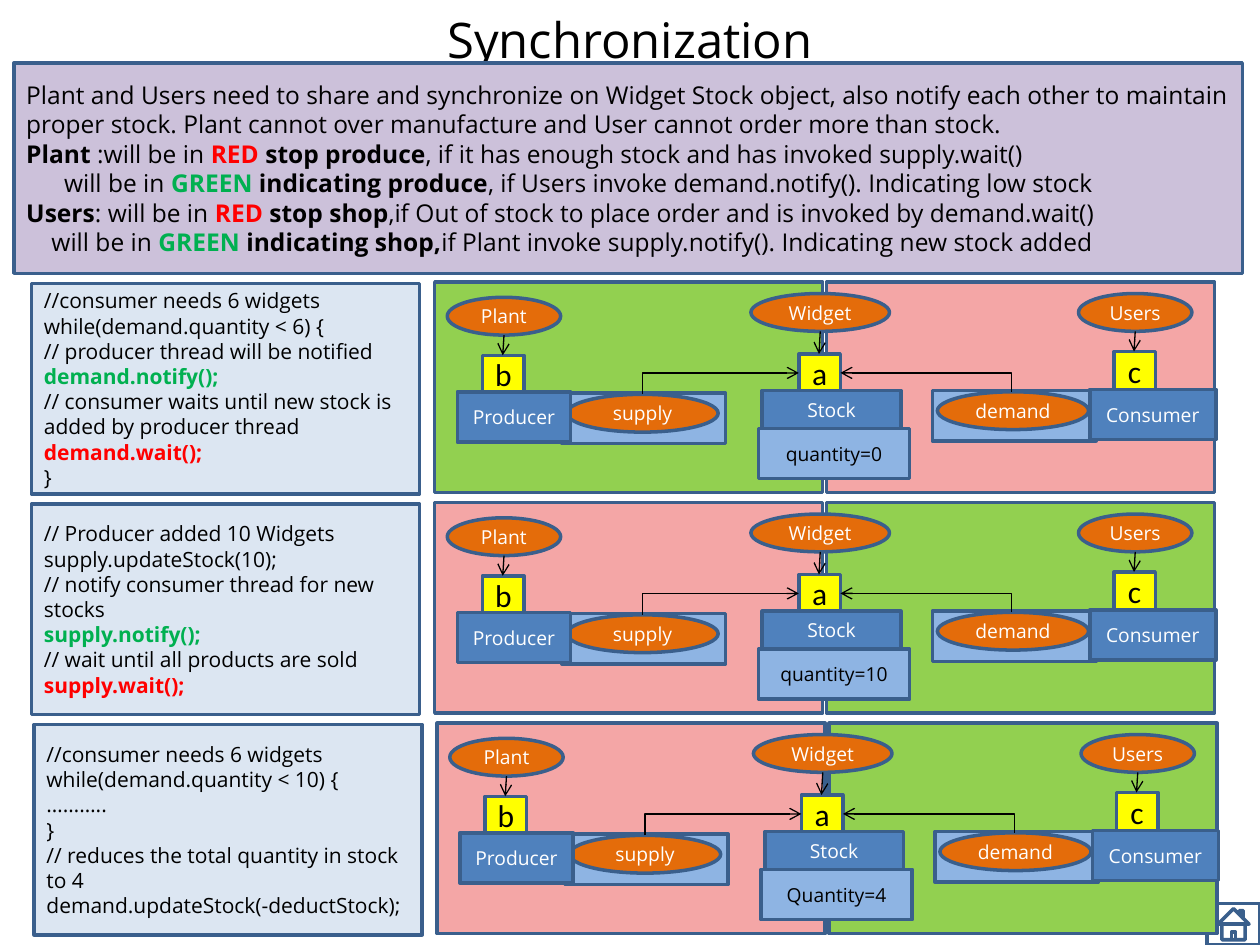
from lxml import etree
from pptx import Presentation
from pptx.dml.color import RGBColor
from pptx.enum.shapes import MSO_CONNECTOR, MSO_SHAPE
from pptx.enum.text import MSO_ANCHOR, PP_ALIGN
from pptx.oxml.ns import qn
from pptx.util import Inches, Pt

RECT, OVAL = MSO_SHAPE.RECTANGLE, MSO_SHAPE.OVAL
HOME = MSO_SHAPE.ACTION_BUTTON_HOME
STRAIGHT, ELBOW = MSO_CONNECTOR.STRAIGHT, MSO_CONNECTOR.ELBOW
LEFT, CENTER, MIDDLE = PP_ALIGN.LEFT, PP_ALIGN.CENTER, MSO_ANCHOR.MIDDLE
SANS, SERIF = "Open Sans", "Calibri"
EDGE, BLACK, WHITE = "3A5F8C", "000000", "FFFFFF"
RED, GREEN = "FF0000", "00B050"
STOP, GO = "F4A6A6", "92D050"
ORANGE, YELLOW, BLUE, PALE = "E46C0A", "FFFF00", "4F81BD", "8EB4E3"
LILAC, MIST = "CCC1DA", "DCE6F2"
STOP_RUN, GO_RUN = ("RED ", RED, True), ("GREEN ", GREEN, True)

# Each paragraph is (indent, runs); each run is (text, colour, bold).
RULES = [
    (0, [("Plant and Users need to share and synchronize on Widget Stock object, "
          "also notify each other to maintain proper stock. Plant cannot over "
          "manufacture and User cannot order more than stock.", BLACK, False)]),
    (0, [("Plant", BLACK, True), (" :will be in ", BLACK, False), STOP_RUN,
         ("stop produce", BLACK, True),
         (", if it has enough stock and has invoked supply.wait()", BLACK, False)]),
    (0.3, [("will be in ", BLACK, False), GO_RUN,
           ("indicating produce", BLACK, True),
           (", if Users invoke demand.notify(). Indicating low stock", BLACK, False)]),
    (0, [("Users", BLACK, True), (": will be in ", BLACK, False), STOP_RUN,
         ("stop shop", BLACK, True),
         (",if Out of stock to place order and is invoked by demand.wait()",
          BLACK, False)]),
    (0.2, [("will be in ", BLACK, False), GO_RUN,
           ("indicating shop,", BLACK, True),
           ("if Plant invoke supply.notify(). Indicating new stock added",
            BLACK, False)]),
]

# Each row is left edge, left and right panel colours, stock label, code lines.
ROWS = [
    (0.25, GO, STOP, "quantity=0", [
        "//consumer needs 6 widgets",
        "while(demand.quantity < 6) {",
        "// producer thread will be notified",
        "demand.notify();",
        "// consumer waits until new stock is added by producer thread",
        "demand.wait();",
        "}"]),
    (0.25, STOP, GO, "quantity=10", [
        "// Producer added 10 Widgets",
        "supply.updateStock(10);",
        "// notify consumer thread for new stocks",
        "supply.notify();",
        "// wait until all products are sold",
        "supply.wait();"]),
    (0.27, STOP, GO, "Quantity=4", [
        "//consumer needs 6 widgets",
        "while(demand.quantity < 10) {",
        "………..",
        "}",
        "// reduces the total quantity in stock to 4",
        "demand.updateStock(-deductStock);"]),
]


def rgb(code):
    """Turn a hex string into a colour."""
    return RGBColor.from_string(code)


def write(shape, paras, size, font=SANS, align=CENTER):
    """Fill a shape with paragraphs of coloured runs."""
    frame = shape.text_frame
    frame.word_wrap = True
    frame.vertical_anchor = MIDDLE
    for i, (indent, runs) in enumerate(paras):
        para = frame.add_paragraph() if i else frame.paragraphs[0]
        para.alignment = align
        para.font.name, para.font.size = font, Pt(size)
        if indent:
            para._p.get_or_add_pPr().set("marL", str(Inches(indent)))
        for text, color, bold in runs:
            run = para.add_run()
            run.text = text
            run.font.color.rgb = rgb(color)
            run.font.bold = bold


def block(slide, kind, x, y, w, h, fill=None):
    """Add an outlined shape, filled if a colour is given."""
    shape = slide.shapes.add_shape(kind, Inches(x), Inches(y), Inches(w), Inches(h))
    shape.shadow.inherit = False
    shape.line.color.rgb, shape.line.width = rgb(EDGE), Pt(2)
    if fill:
        shape.fill.solid()
        shape.fill.fore_color.rgb = rgb(fill)
    else:
        shape.fill.background()
    return shape


def label(slide, kind, x, y, w, h, fill, text, color=WHITE, size=11, font=SANS):
    """Add a shape with one centred line."""
    shape = block(slide, kind, x, y, w, h, fill)
    write(shape, [(0, [(text, color, False)])], size, font)


def arrow(slide, kind, x1, y1, x2, y2):
    """Add a thin connector with an open arrowhead at its end."""
    wire = slide.shapes.add_connector(
        kind, Inches(x1), Inches(y1), Inches(x2), Inches(y2))
    wire.line.color.rgb, wire.line.width = rgb(BLACK), Pt(0.75)
    props = wire._element.spPr
    etree.SubElement(wire.line._get_or_add_ln(), qn("a:tailEnd"), type="arrow")
    etree.SubElement(props, qn("a:effectLst"))
    return props


def bend(slide, x1, y1, x2, y2):
    """Add an arrow that goes up first, then sideways."""
    mx, my = (x1 + x2) / 2, (y1 + y2) / 2
    dx, dy = (x2 - x1) / 2, (y1 - y2) / 2
    props = arrow(slide, ELBOW, mx - dy, my - dx, mx + dy, my + dx)
    props.find(qn("a:xfrm")).set("rot", "16200000")
    props.find(qn("a:prstGeom")).set("prst", "bentConnector2")


def head(slide, x, y, w, name, key, drop):
    """Add a named oval with an arrow down to its key box."""
    mid = x + w / 2
    label(slide, OVAL, x, y, w, 0.3, ORANGE, name)
    label(slide, RECT, mid - 0.17, y + drop, 0.33, 0.3, YELLOW, key, BLACK, 18, SERIF)
    arrow(slide, STRAIGHT, mid, y + 0.3, mid - 0.01, y + drop)


def link(slide, x, y, name):
    """Add a pale bar with a named oval on it."""
    block(slide, RECT, x, y, 1.3, 0.4, PALE)
    label(slide, OVAL, x + 0.04, y + 0.01, 1.2, 0.3, ORANGE, name)


def scene(slide, x, y, left, right, stock):
    """Draw the producer, stock and consumer on two panels."""
    block(slide, RECT, x + 3.11, y, 3.08, 1.67, right)
    block(slide, RECT, x, y, 3.08, 1.67, left)
    head(slide, x + 0.1, y + 0.12, 0.9, "Plant", "b", 0.46)
    link(slide, x + 1.01, y + 0.88, "supply")
    label(slide, RECT, x + 0.18, y + 0.87, 0.9, 0.4, BLUE, "Producer")
    head(slide, x + 2.51, y + 0.09, 1.1, "Widget", "a", 0.48)
    label(slide, RECT, x + 2.57, y + 1.16, 1.2, 0.4, PALE, stock, BLACK)
    label(slide, RECT, x + 2.6, y + 0.86, 1.1, 0.3, BLUE, "Stock")
    head(slide, x + 5.11, y + 0.09, 0.9, "Users", "c", 0.46)
    link(slide, x + 3.95, y + 0.86, "demand")
    label(slide, RECT, x + 5.2, y + 0.85, 1, 0.4, BLUE, "Consumer")
    bend(slide, x + 1.65, y + 0.89, x + 2.89, y + 0.72)
    bend(slide, x + 4.58, y + 0.87, x + 3.22, y + 0.72)


def code(slide, x, y, lines):
    """Add a code box; notify calls are green, wait calls red."""
    paras = []
    for line in lines:
        tint = (GREEN if line.endswith(".notify();")
                else RED if line.endswith(".wait();") else BLACK)
        paras.append((0, [(line, tint, tint != BLACK)]))
    write(block(slide, RECT, x, y, 3.08, 1.67, MIST), paras, 12, align=LEFT)


def title(slide, x, y, w, h, text):
    """Place the title placeholder."""
    shape = slide.shapes.title
    shape.left, shape.top = Inches(x), Inches(y)
    shape.width, shape.height = Inches(w), Inches(h)
    write(shape, [(0, [(text, BLACK, False)])], 28)


def main():
    """Build the slide and save it."""
    deck = Presentation()
    deck.slide_width, deck.slide_height = Inches(10), Inches(7.5)
    slide = deck.slides.add_slide(deck.slide_layouts[5])
    title(slide, 0.5, -0.08, 9, 0.78, "Synchronization")
    block(slide, HOME, 9.58, 7.17, 0.42, 0.33)
    for i, (x, left, right, stock, lines) in enumerate(ROWS):
        y = 2.24 + 1.75 * i
        scene(slide, x + 3.2, y, left, right, stock)
        code(slide, x, y + 0.01, lines)
    write(block(slide, RECT, 0.11, 0.5, 9.75, 1.67, LILAC), RULES, 14, align=LEFT)
    deck.save("out.pptx")


main()
